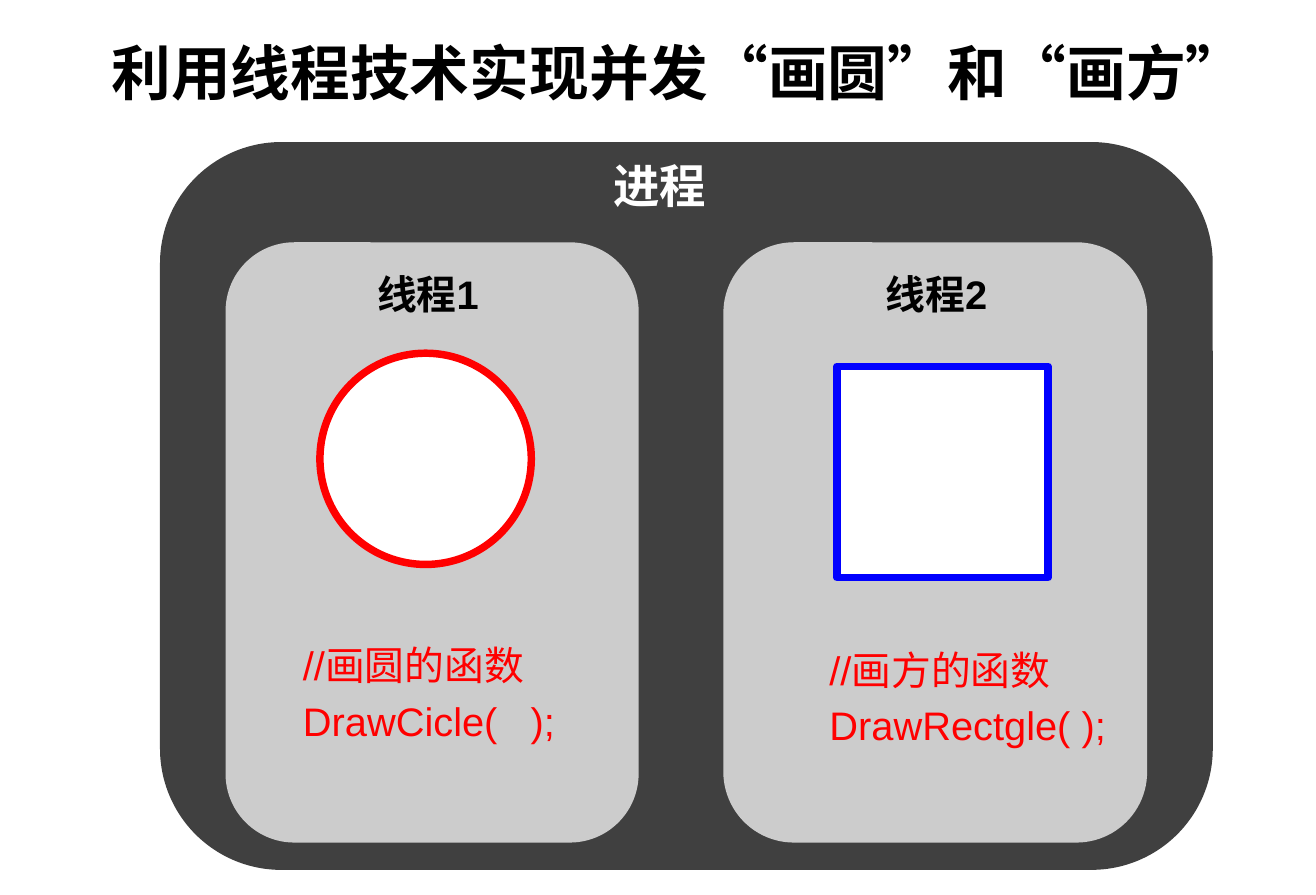
from pptx import Presentation
from pptx.dml.color import RGBColor
from pptx.enum.shapes import MSO_SHAPE
from pptx.enum.text import PP_ALIGN
from pptx.util import Cm, Pt

ROUND, OVAL, RECT = MSO_SHAPE.ROUNDED_RECTANGLE, MSO_SHAPE.OVAL, MSO_SHAPE.RECTANGLE
LEFT, CENTER = PP_ALIGN.LEFT, PP_ALIGN.CENTER
WIDE, HIGH = Cm(28), Cm(19.05)
BLACK, WHITE, DARK, GREY = "000000", "FFFFFF", "404040", "CCCCCC"
RED, BLUE = "FF0000", "0000FF"

# Content; every box is left, top, width, height in percent of the slide
TITLE = "利用线程技术实现并发“画圆”和“画方”"
OUTER = "进程"
THREADS = [
    dict(name="线程1", code=["//画圆的函数", "DrawCicle(   );"],
         kind=OVAL, color=RED,
         panel=(17.14, 27.07, 31.39, 67.07), label=(27.76, 29.47, 22.2, 12.3),
         figure=(24.31, 39.47, 16.06, 23.6), note=(22.13, 70.93, 21.2, 13.2)),
    dict(name="线程2", code=["//画方的函数", "DrawRectgle( );"],
         kind=RECT, color=BLUE,
         panel=(54.97, 27.07, 32.2, 67.07), label=(66.4, 29.47, 22.8, 12.3),
         figure=(63.59, 40.93, 16.06, 23.6), note=(62.14, 71.47, 23.0, 13.2)),
]

deck = Presentation()
deck.slide_width, deck.slide_height = WIDE, HIGH
slide = deck.slides.add_slide(deck.slide_layouts[6])


def rgb(code):
    return RGBColor.from_string(code)


def place(box):
    return [round(part * size / 100) for part, size in zip(box, (WIDE, HIGH) * 2)]


def draw(kind, box, fill, line=None):
    shape = slide.shapes.add_shape(kind, *place(box))
    shape.shadow.inherit = False
    shape.fill.solid()
    shape.fill.fore_color.rgb = rgb(fill)
    if line:
        shape.line.color.rgb = rgb(line)
        shape.line.width = Pt(4.5)
    else:
        shape.line.fill.background()


def write(lines, box, size=24, color=BLACK, bold=True, align=LEFT):
    frame = slide.shapes.add_textbox(*place(box)).text_frame
    frame.word_wrap = True
    for i, line in enumerate(lines):
        para = frame.paragraphs[0] if i == 0 else frame.add_paragraph()
        para.alignment = align
        para.space_before = Pt(size * 0.2 if i else 0)
        run = para.add_run()
        run.text = line
        run.font.name, run.font.size, run.font.bold = "Arial", Pt(size), bold
        run.font.color.rgb = rgb(color)


# Process frame
draw(ROUND, (12.16, 15.87, 80, 81.33), DARK)
write([OUTER], (45.72, 16.93, 12.1, 7.6), size=28, color=WHITE)

# Title
write([TITLE], (6.98, 3.33, 89.17, 9.5), size=36, align=CENTER)

# Threads with their figures and code
for item in THREADS:
    draw(ROUND, item["panel"], GREY)
    write([item["name"]], item["label"])
    draw(item["kind"], item["figure"], WHITE, line=item["color"])
    write(item["code"], item["note"], color=RED, bold=False)

deck.save("out.pptx")
